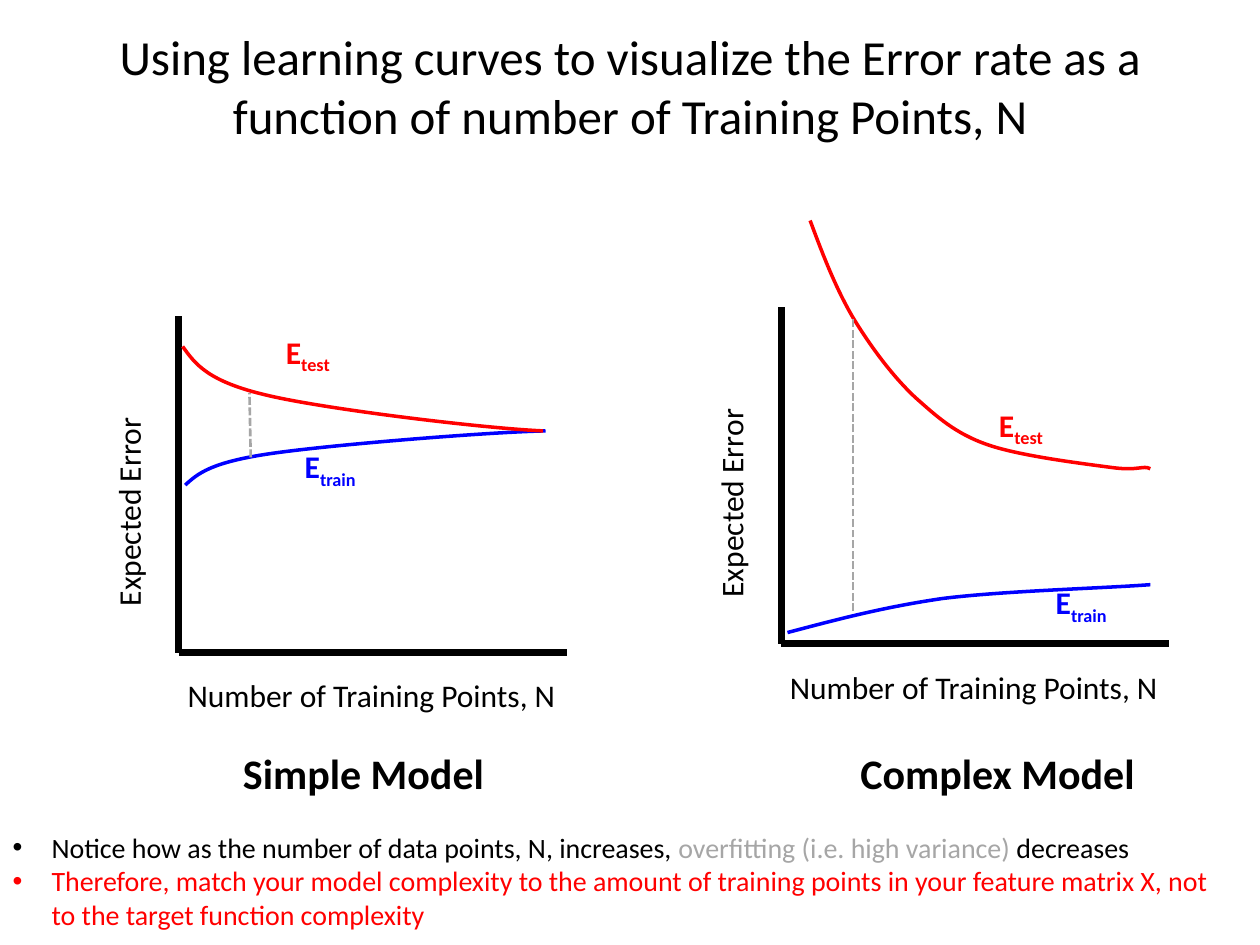
from pptx import Presentation
from pptx.dml.color import RGBColor
from pptx.enum.dml import MSO_LINE
from pptx.enum.shapes import MSO_CONNECTOR
from pptx.enum.text import MSO_ANCHOR, MSO_AUTO_SIZE, PP_ALIGN
from pptx.oxml.ns import qn
from pptx.util import Inches, Pt
from lxml.etree import SubElement

BLACK, RED, BLUE, GREY = "000000", "FF0000", "0000FF", "A6A6A6"


def paint(color, tint):
    color.rgb = RGBColor.from_string(tint)


def place(shape, x, y, w, h):
    shape.left, shape.top = Inches(x), Inches(y)
    shape.width, shape.height = Inches(w), Inches(h)


class Deck:
    """Holds the type style and the current slide."""
    face = "Calibri"

    def __init__(self):
        self.prs = Presentation()
        self.prs.slide_width, self.prs.slide_height = Inches(10), Inches(7.5)
        self.slide = self.prs.slides.add_slide(self.prs.slide_layouts[1])
        self.shapes = self.slide.shapes

    def style(self, par, size, tint=BLACK, bold=False):
        font = par.font
        font.name, font.size, font.bold = self.face, Pt(size), bold
        paint(font.color, tint)

    def title(self, text):
        box = self.shapes.title
        place(box, 0.5, 0.3, 9, 0.76)
        frame = box.text_frame
        frame.text = text
        frame.auto_size = MSO_AUTO_SIZE.NONE
        frame.vertical_anchor = MSO_ANCHOR.MIDDLE
        par = frame.paragraphs[0]
        par.alignment = PP_ALIGN.CENTER
        self.style(par, 28)

    def bullets(self, items):
        """Fill the body; each item is a list of (text, tint) runs."""
        box = self.slide.placeholders[1]
        place(box, 0, 6.54, 9.75, 0.91)
        frame = box.text_frame
        frame.auto_size = MSO_AUTO_SIZE.NONE
        for i, runs in enumerate(items):
            par = frame.add_paragraph() if i else frame.paragraphs[0]
            self.style(par, 16, runs[0][1])
            par.space_before = Pt(0)
            props = par._p.get_or_add_pPr()
            props.set("marL", str(Inches(0.31)))
            props.set("indent", str(-Inches(0.31)))
            for text, tint in runs:
                run = par.add_run()
                run.text = text
                paint(run.font.color, tint)

    def text(self, x, y, w, text, size=18, tint=BLACK, bold=False, sub="", turn=0):
        box = self.shapes.add_textbox(Inches(x), Inches(y), Inches(w),
                                      Inches(0.5 if size > 18 else 0.4))
        box.rotation = turn
        frame = box.text_frame
        frame.word_wrap = True
        par = frame.paragraphs[0]
        self.style(par, size, tint, bold)
        par.add_run().text = text
        if sub:
            low = par.add_run()
            low.text = sub
            low.font._element.set("baseline", "-25000")

    def line(self, x1, y1, x2, y2, tint=BLACK, width=4, dash=None):
        line = self.shapes.add_connector(MSO_CONNECTOR.STRAIGHT, Inches(x1),
                                         Inches(y1), Inches(x2), Inches(y2))
        paint(line.line.color, tint)
        line.line.width = Pt(width)
        if dash:
            line.line.dash_style = dash
        SubElement(line._element.spPr, qn("a:effectLst"))

    def curve(self, tint, points):
        """Draw a start point followed by Bezier triples."""
        spots = [(Inches(x), Inches(y)) for x, y in points]
        pen = self.shapes.build_freeform(*spots[0])
        pen.add_line_segments(spots[1:], close=False)
        shape = pen.convert_to_shape()
        shape.shadow.inherit = False
        shape.fill.background()
        paint(shape.line.color, tint)
        shape.line.width = Pt(2)
        track = next(shape._element.iter(qn("a:path")))
        steps = track.findall(qn("a:lnTo"))
        for i in range(0, len(steps), 3):
            bend = SubElement(track, qn("a:cubicBezTo"))
            for step in steps[i:i + 3]:
                bend.append(step[0])
                track.remove(step)

    def axes(self, x, y):
        """Draw both axes, with their captions, from the top left corner."""
        base = y + 2.67
        self.line(x, y, x, base)
        self.line(x, base, x + 3.08, base)
        self.text(x - 1.62, y + 0.98, 2.44, "Expected Error", turn=270)
        self.text(x - 0.03, base + 0.14, 3.28, "Number of Training Points, N")

    def panel(self, name, spot, width, corner, train, test, gap, tags):
        self.axes(*corner)
        self.curve(BLUE, train)
        self.curve(RED, test)
        self.line(*gap, GREY, 1.5, MSO_LINE.SQUARE_DOT)
        for (x, y), sub, tint in zip(tags, ("train", "test"), (BLUE, RED)):
            self.text(x, y, 1.17, "E", tint=tint, bold=True, sub=sub)
        self.text(spot, 5.88, width, name, size=24, bold=True)


def main():
    deck = Deck()
    deck.title("Using learning curves to visualize the Error rate as a "
               "function of number of Training Points, N")
    deck.panel(
        "Simple Model", 1.83, 2.25, (1.42, 2.51),
        train=[(1.47, 3.85), (1.57, 3.76), (1.67, 3.67), (2.15, 3.6),
               (2.63, 3.53), (3.87, 3.43), (4.33, 3.42)],
        test=[(1.45, 2.75), (1.55, 2.89), (1.65, 3.03), (2.13, 3.14),
              (2.6, 3.25), (3.84, 3.4), (4.31, 3.42)],
        gap=(1.99, 3.63, 1.98, 3.12), tags=[(2.32, 3.5), (2.17, 2.59)])
    deck.panel(
        "Complex Model", 6.73, 2.55, (6.2, 2.44),
        train=[(6.25, 5.02), (6.63, 4.92), (7, 4.82), (7.48, 4.75),
               (7.96, 4.69), (8.73, 4.67), (9.13, 4.64)],
        test=[(6.43, 1.75), (6.53, 2.02), (6.63, 2.28), (6.77, 2.52),
              (6.91, 2.75), (7.08, 2.98), (7.26, 3.15),
              (7.44, 3.31), (7.58, 3.44), (7.84, 3.53),
              (8.1, 3.62), (8.6, 3.68), (8.82, 3.71),
              (9.04, 3.74), (9.07, 3.69), (9.13, 3.72)],
        gap=(6.77, 4.85, 6.77, 2.52), tags=[(8.28, 4.58), (7.83, 3.17)])
    deck.bullets([
        [("Notice how as the number of data points, N, increases, ", BLACK),
         ("overfitting (i.e. high variance)", GREY), (" decreases", BLACK)],
        [("Therefore, match your model complexity to the amount of training "
          "points in your feature matrix X, not to the target function "
          "complexity", RED)]])
    deck.prs.save("out.pptx")


if __name__ == "__main__":
    main()
